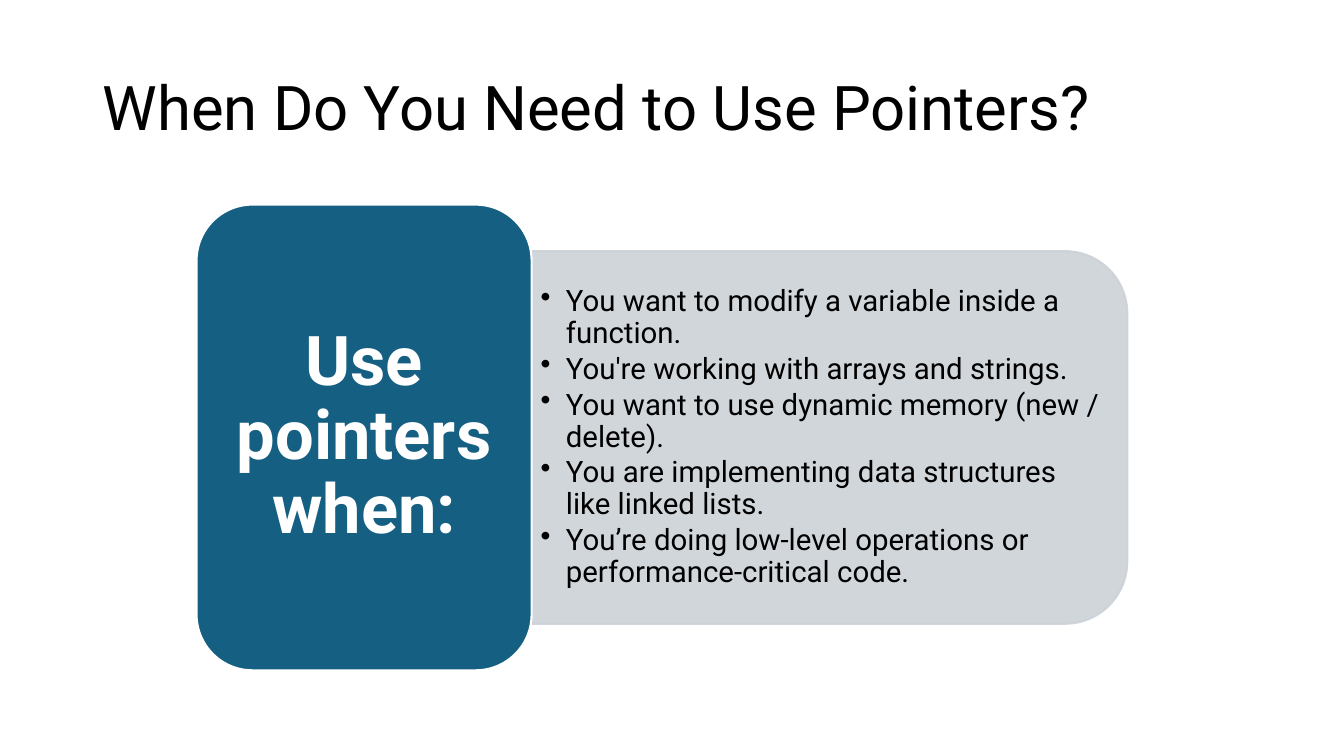
from dataclasses import dataclass

from lxml import etree
from pptx import Presentation
from pptx.dml.color import RGBColor
from pptx.enum.shapes import MSO_SHAPE as SHAPE
from pptx.enum.text import MSO_ANCHOR as ANCHOR, PP_ALIGN as ALIGN
from pptx.oxml.ns import qn
from pptx.util import Inches, Pt


@dataclass(frozen=True)
class Theme:
    font: str = "Roboto"
    black: str = "000000"
    white: str = "FFFFFF"
    teal: str = "156082"
    gray: str = "CCD2D8"
    title_size: int = 44
    label_size: int = 49
    bullet_size: int = 21
    line_width: float = 1.5


THEME = Theme()

TITLE = "When Do You Need to Use Pointers?"
LABEL = "Use pointers when:"
REASONS = [
    "You want to modify a variable inside a function.",
    "You're working with arrays and strings.",
    "You want to use dynamic memory (new / delete).",
    "You are implementing data structures like linked lists.",
    "You’re doing low-level operations or performance-critical code.",
]


def set_attrs(target, values):
    for name, value in values.items():
        setattr(target, name, value)


def set_color(fmt, color, opacity=None):
    fmt.solid()
    fmt.fore_color.rgb = RGBColor.from_string(color)
    if opacity is not None:
        for clr in fmt._xPr.iter(qn("a:srgbClr")):
            etree.SubElement(clr, qn("a:alpha"), val=str(opacity * 1000))


def add_block(slide, kind, box, fill, line, opacity=None):
    """Filled, outlined preset shape."""
    sp = slide.shapes.add_shape(kind, *map(Inches, box))
    sp.shadow.inherit = False
    set_color(sp.fill, fill, opacity)
    sp.line.width = Pt(THEME.line_width)
    set_color(sp.line.fill, line)
    if opacity is not None:
        clr = sp.line._ln.find(".//" + qn("a:srgbClr"))
        if clr.find(qn("a:alpha")) is None:
            etree.SubElement(clr, qn("a:alpha"), val=str(opacity * 1000))
    return sp


def add_text(slide, box, lines, size, color, insets, anchor=ANCHOR.MIDDLE,
             bold=False, **para):
    """Text box with one paragraph per line; insets are (side, top and bottom)."""
    tf = slide.shapes.add_textbox(*map(Inches, box)).text_frame
    side, end = map(Inches, insets)
    set_attrs(tf, {
        "word_wrap": True, "vertical_anchor": anchor,
        "margin_left": side, "margin_right": side,
        "margin_top": end, "margin_bottom": end,
    })
    for i, line in enumerate(lines):
        p = tf.add_paragraph() if i else tf.paragraphs[0]
        set_attrs(p, {"line_spacing": 0.9, **para})
        r = p.add_run()
        r.text = line
        set_attrs(r.font, {"name": THEME.font, "size": Pt(size), "bold": bold})
        r.font.color.rgb = RGBColor.from_string(color)
    return tf


def add_bullets(tf, indent):
    for p in tf.paragraphs:
        pPr = p._p.get_or_add_pPr()
        pPr.set("marL", str(Inches(indent)))
        pPr.set("indent", str(-Inches(indent)))
        etree.SubElement(pPr, qn("a:buChar"), char="•")


def add_title(slide, box):
    add_text(slide, box, [TITLE], THEME.title_size, THEME.black, (0.1, 0.08),
             anchor=ANCHOR.TOP)


def add_reasons(slide, box):
    """Panel rounded on the right, with the bullet list."""
    x, y, w, h = box
    # The preset is rounded on top, so it is turned about the panel's centre
    upright = (x + (w - h) / 2, y + (h - w) / 2, h, w)
    panel = add_block(slide, SHAPE.ROUND_2_SAME_RECTANGLE, upright,
                      THEME.gray, THEME.gray, opacity=90)
    panel.rotation = 90
    pad = 0.18
    tf = add_text(slide, (x, y + pad, w - pad, h - 2 * pad), REASONS,
                  THEME.bullet_size, THEME.black, (0.09, 0.04),
                  space_after=Pt(3))
    add_bullets(tf, 0.25)


def add_label(slide, box):
    """Rounded block with the heading of the list."""
    x, y, w, h = box
    add_block(slide, SHAPE.ROUNDED_RECTANGLE, box, THEME.teal, THEME.white)
    pad = 0.16
    add_text(slide, (x + pad, y + pad, w - 2 * pad, h - 2 * pad), [LABEL],
             THEME.label_size, THEME.white, (0.2, 0.1), bold=True,
             alignment=ALIGN.CENTER)


def add_diagram(slide, box):
    x, y, w, h = box
    label_w = 0.36 * w
    panel_h = 0.8 * h
    add_reasons(slide, (x + label_w, y + (h - panel_h) / 2, w - label_w, panel_h))
    add_label(slide, (x, y, label_w, h))


def main():
    prs = Presentation()
    prs.slide_width, prs.slide_height = Inches(13.33), Inches(7.5)
    slide = prs.slides.add_slide(prs.slide_layouts[6])
    add_title(slide, (0.92, 0.69, 11.5, 1.45))
    add_diagram(slide, (1.95, 2.03, 9.23, 4.62))
    prs.save("out.pptx")


if __name__ == "__main__":
    main()
